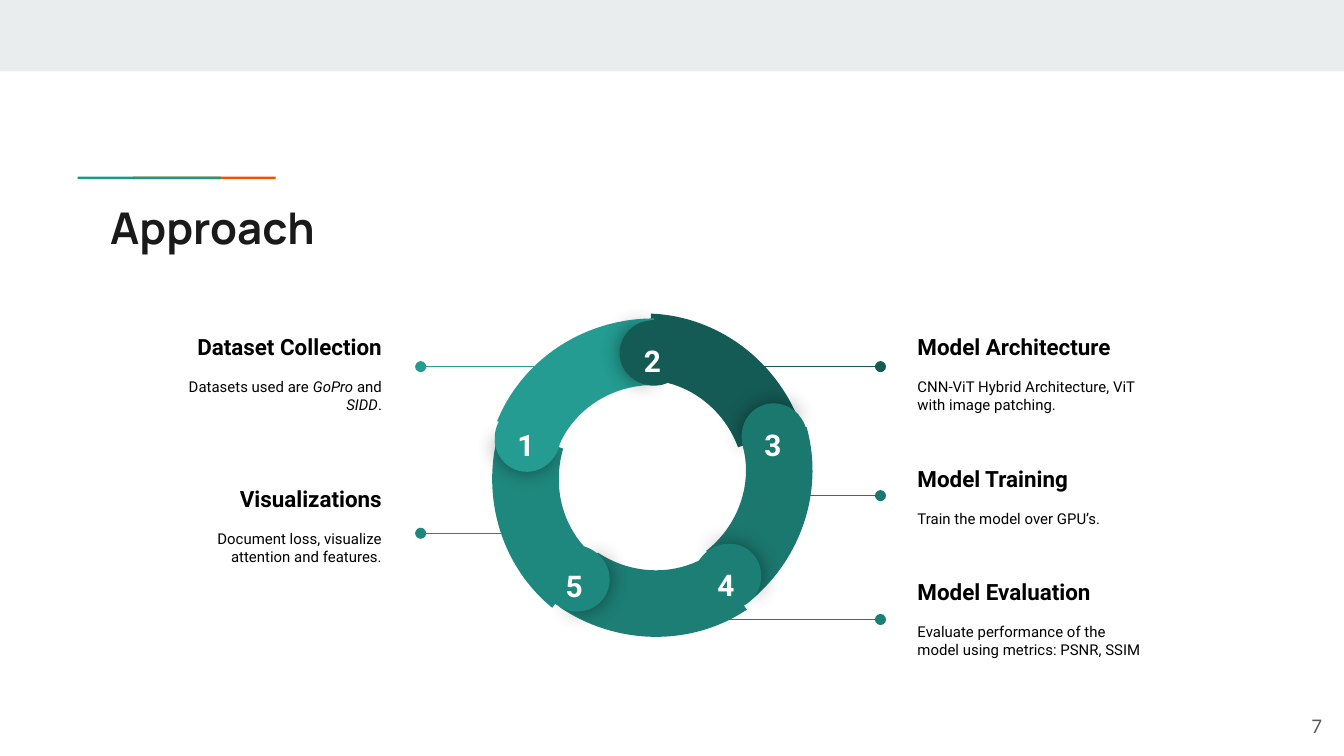
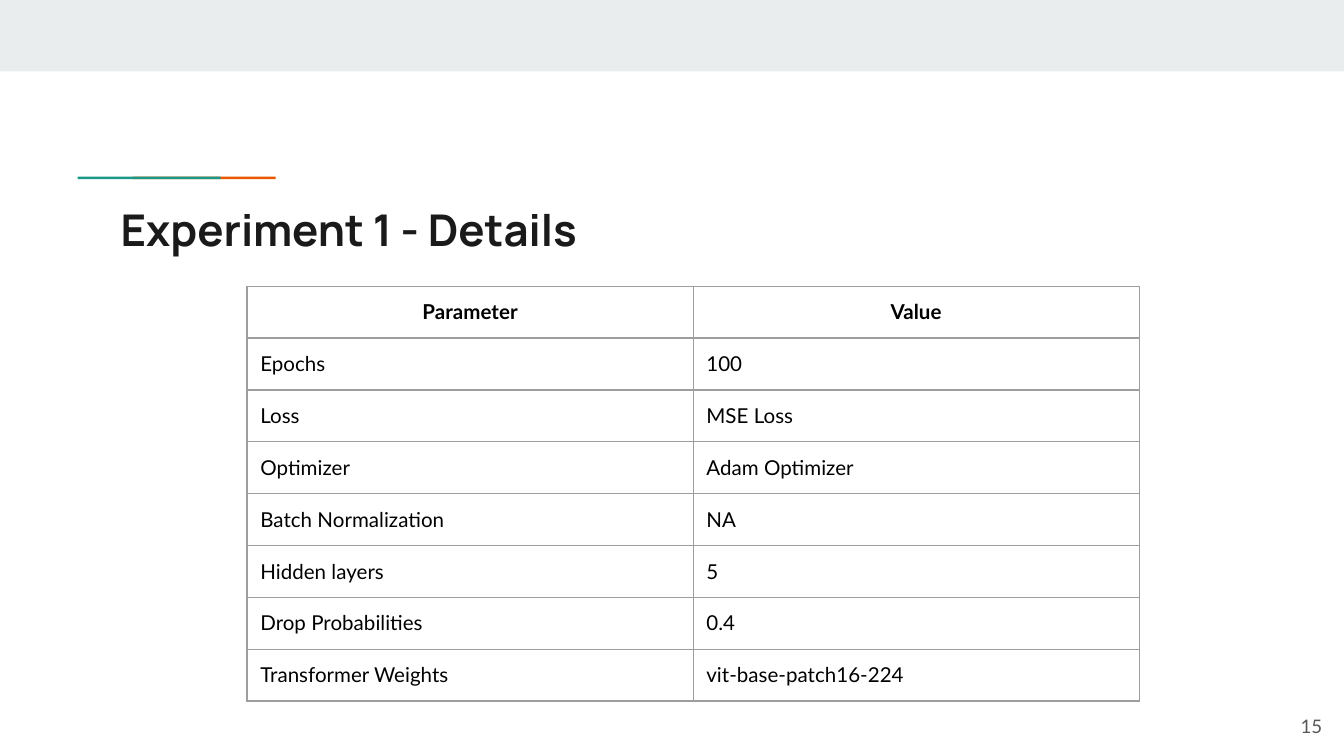
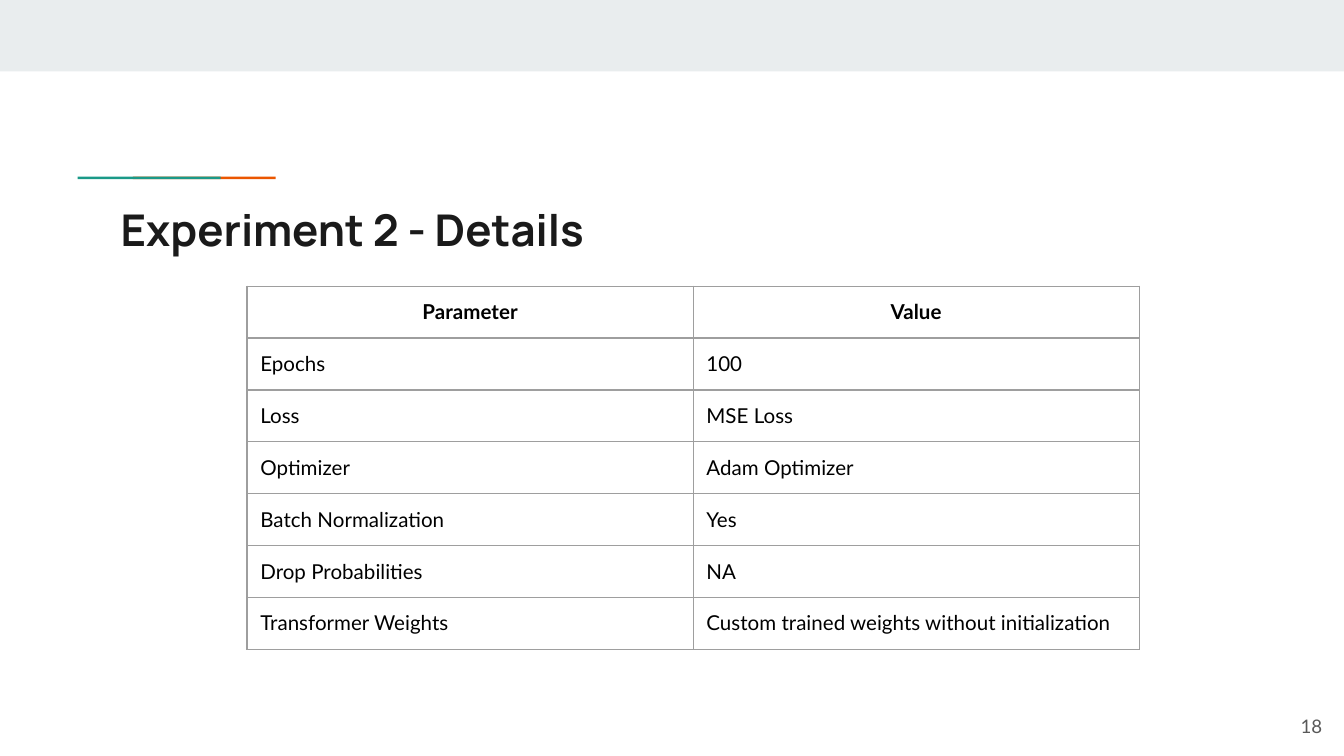
import lxml.etree
import pptx
import pptx.dml.color
import pptx.enum.shapes
import pptx.enum.text
import pptx.oxml.ns
import pptx.util

COLORS = {
    "band": "E9EDEE", "green": "1A9988", "orange": "EB5600",
    "title": "1A1A1A", "text": "000000", "page": "595959",
    "white": "FFFFFF", "grid": "9E9E9E",
}
INSET = 0.25
SHAPE = pptx.enum.shapes.MSO_SHAPE
ALIGN = pptx.enum.text.PP_ALIGN
ANCHOR = pptx.enum.text.MSO_ANCHOR

# Ring geometry, in cm and degrees
RING = (12.3, 9.02)
RING_SIZE = (6.25, 5.99)
KNOB_SIZE = (1.3, 1.24)

# Each step: colour, turn of arc, turn of knob, knob centre,
# pointer (start x, y), top of label, heading, detail (*italic*)
STEPS = [
    ("249C91", 350, 284.1, (9.97, 8.27), (10.72, 6.93), 6.05,
     "Dataset Collection", "Datasets used are *GoPro* and *SIDD*."),
    ("155B55", 60, 357.1, (12.36, 6.67), (13.74, 6.93), 6.05,
     "Model Architecture",
     "CNN-ViT Hybrid Architecture, ViT with image patching."),
    ("1B786F", 132, 67.1, (14.64, 8.27), (14.66, 9.37), 8.38,
     "Model Training", "Train the model over GPU’s."),
    ("1D7E75", 204, 139.1, (13.75, 10.91), (12.5, 11.71), 10.69,
     "Model Evaluation",
     "Evaluate performance of the model using metrics: PSNR, SSIM"),
    ("1F887E", 277, 211.1, (10.88, 10.93), (10.06, 10.08), 8.93,
     "Visualizations", "Document loss, visualize attention and features."),
]

HEAD = [("Parameter", "Value")]
SHARED = [("Epochs", "100"), ("Loss", "MSE Loss"),
          ("Optimizer", "Adam Optimizer")]
FIRST = HEAD + SHARED + [
    ("Batch Normalization", "NA"),
    ("Hidden layers", "5"),
    ("Drop Probabilities", "0.4"),
    ("Transformer Weights", "vit-base-patch16-224"),
]
SECOND = HEAD + SHARED + [
    ("Batch Normalization", "Yes"),
    ("Drop Probabilities", "NA"),
    ("Transformer Weights", "Custom trained weights without initialization"),
]


def lengths(*values):
    return [pptx.util.Cm(value) for value in values]


def color(code):
    return pptx.dml.color.RGBColor.from_string(code)


def node(parent, tag, **attrs):
    return lxml.etree.SubElement(parent, pptx.oxml.ns.qn(tag), attrs)


def write(frame, text, size=8, font="Roboto", ink="text", bold=False,
          align=ALIGN.LEFT, after=0, line=1.0):
    """Fill the first paragraph, or add one; *stars* mark italics."""
    para = frame.paragraphs[0]
    if para.runs:
        para = frame.add_paragraph()
    para.alignment = align
    para.space_before = pptx.util.Pt(0)
    para.space_after = pptx.util.Pt(after)
    para.line_spacing = line
    for index, part in enumerate(text.split("*")):
        if not part:
            continue
        run = para.add_run()
        run.text = part
        run.font.name = font
        run.font.size = pptx.util.Pt(size)
        run.font.bold = bold
        run.font.italic = index % 2 == 1
        run.font.color.rgb = color(COLORS[ink])


def pad(frame, anchor):
    frame.word_wrap = True
    frame.auto_size = pptx.enum.text.MSO_AUTO_SIZE.NONE
    frame.vertical_anchor = anchor
    (frame.margin_left, frame.margin_top,
     frame.margin_right, frame.margin_bottom) = lengths(*[INSET] * 4)


def add_box(slide, left, top, width, height, anchor=ANCHOR.MIDDLE):
    box = slide.shapes.add_textbox(*lengths(left, top, width, height))
    pad(box.text_frame, anchor)
    return box.text_frame


def add_form(slide, kind, left, top, width, height, fill):
    form = slide.shapes.add_shape(kind, *lengths(left, top, width, height))
    form.shadow.inherit = False
    form.fill.solid()
    form.fill.fore_color.rgb = color(fill)
    form.line.fill.background()
    return form


# Shared frame
def add_frame(slide, layout):
    """Draw the band and accent bars once, and keep them on the layout."""
    bars = [(0, 0, 25.4, 1.35, "band"),
            (2.51, 3.34, 2.7, 0.05, "orange"),
            (1.47, 3.34, 2.7, 0.05, "green")]
    for index, (*place, name) in enumerate(bars):
        bar = add_form(slide, SHAPE.RECTANGLE, *place, COLORS[name])
        layout.shapes.element.insert(2 + index, bar.element)


def add_slide(deck, layout, title, page, left=2.03, top=3.66):
    slide = deck.slides.add_slide(layout)
    head = slide.shapes.title
    head.left, head.top, head.width, head.height = lengths(
        left, top, 21.36, 1.5)
    pad(head.text_frame, ANCHOR.TOP)
    write(head.text_frame, title, size=23.4, font="Manrope", ink="title",
          bold=True, line=0.95)
    write(add_box(slide, 23.72, 13.18, 1.52, 1.09), page, size=10,
          font="Lato", ink="page", align=ALIGN.RIGHT)
    return slide


# Ring parts
def add_sector(slide, kind, center, size, fill, turn, start, end):
    left, top = (mid - side / 2 for mid, side in zip(center, size))
    form = add_form(slide, kind, left, top, *size, fill)
    form.rotation = turn % 360
    # Angles are stored in 60000ths, adjustments in 100000ths
    form.adjustments[0] = start * 0.6
    form.adjustments[1] = end * 0.6
    return form


def add_arc(slide, fill, turn):
    arc = add_sector(slide, SHAPE.BLOCK_ARC, RING, RING_SIZE, fill, turn,
                     210.04, 281.13)
    arc.adjustments[2] = 0.21


def add_knob(slide, fill, turn, center, digit):
    pie = SHAPE.PIE
    front = add_sector(slide, pie, center, KNOB_SIZE, fill, turn,
                       103.17, 249.94)
    glow = front.element.spPr.find(pptx.oxml.ns.qn("a:effectLst"))
    shade = node(glow, "a:outerShdw", blurRad="142240", dist="0", dir="0",
                 algn="ctr", rotWithShape="0")
    node(node(shade, "a:srgbClr", val=COLORS["text"]), "a:alpha", val="43000")
    add_sector(slide, pie, center, KNOB_SIZE, fill, turn + 179.3,
               67.14, 286.4)
    frame = add_box(slide, center[0] - 0.6, center[1] - 0.45, 1.14, 0.58,
                    ANCHOR.TOP)
    write(frame, digit, size=16, ink="white", bold=True, align=ALIGN.CENTER)


def add_lead(slide, start, end, y, ink):
    lead = slide.shapes.add_connector(
        pptx.enum.shapes.MSO_CONNECTOR.STRAIGHT, *lengths(start, y, end, y))
    lead.line.color.rgb = color(ink)
    lead.line.width = pptx.util.Pt(0.75)
    props = lead.element.spPr
    node(props.find(pptx.oxml.ns.qn("a:ln")), "a:tailEnd", type="oval")
    node(props, "a:effectLst")


def add_label(slide, left, top, head, detail, align):
    frame = add_box(slide, left, top, 4.78, 2.01)
    write(frame, head, size=12, bold=True, align=align, after=9.4)
    write(frame, detail, align=align)


def add_ring(slide):
    for fill, _, _, _, (start, y), top, head, detail in STEPS:
        west = start < RING[0]
        add_lead(slide, start, 7.95 if west else 16.64, y, fill)
        add_label(slide, 2.69 if west else 17.09, top, head, detail,
                  ALIGN.RIGHT if west else ALIGN.LEFT)
    for fill, turn, *_ in reversed(STEPS):
        add_arc(slide, fill, turn)
    for digit, (fill, _, turn, center, *_) in enumerate(STEPS, 1):
        add_knob(slide, fill, turn, center, str(digit))


# Tables
def add_grid(slide, rows):
    width, height = 8.43, 0.98
    grid = slide.shapes.add_table(
        len(rows), 2,
        *lengths(4.67, 5.41, 2 * width, height * len(rows))).table
    grid.first_row = grid.horz_banding = False
    for r, row in enumerate(rows):
        grid.rows[r].height = pptx.util.Cm(height)
        for c, text in enumerate(row):
            cell = grid.cell(r, c)
            (cell.margin_left, cell.margin_top,
             cell.margin_right, cell.margin_bottom) = lengths(*[INSET] * 4)
            add_edges(cell)
            cell.fill.background()
            write(cell.text_frame, text, size=11, font="Lato", bold=r == 0,
                  align=ALIGN.LEFT if r else ALIGN.CENTER)


def add_edges(cell):
    props = cell._tc.get_or_add_tcPr()
    for side in "LRTB":
        edge = node(props, "a:ln" + side, w=str(pptx.util.Pt(0.75)))
        node(node(edge, "a:solidFill"), "a:srgbClr", val=COLORS["grid"])


def main():
    deck = pptx.Presentation()
    deck.slide_width, deck.slide_height = lengths(25.4, 14.29)
    layout = deck.slide_layouts[5]

    slide = add_slide(deck, layout, "Approach", "7", left=1.83, top=3.61)
    add_frame(slide, layout)
    add_ring(slide)

    add_grid(add_slide(deck, layout, "Experiment 1 - Details", "15"), FIRST)
    add_grid(add_slide(deck, layout, "Experiment 2 - Details", "18"), SECOND)

    deck.save("out.pptx")


if __name__ == "__main__":
    main()
